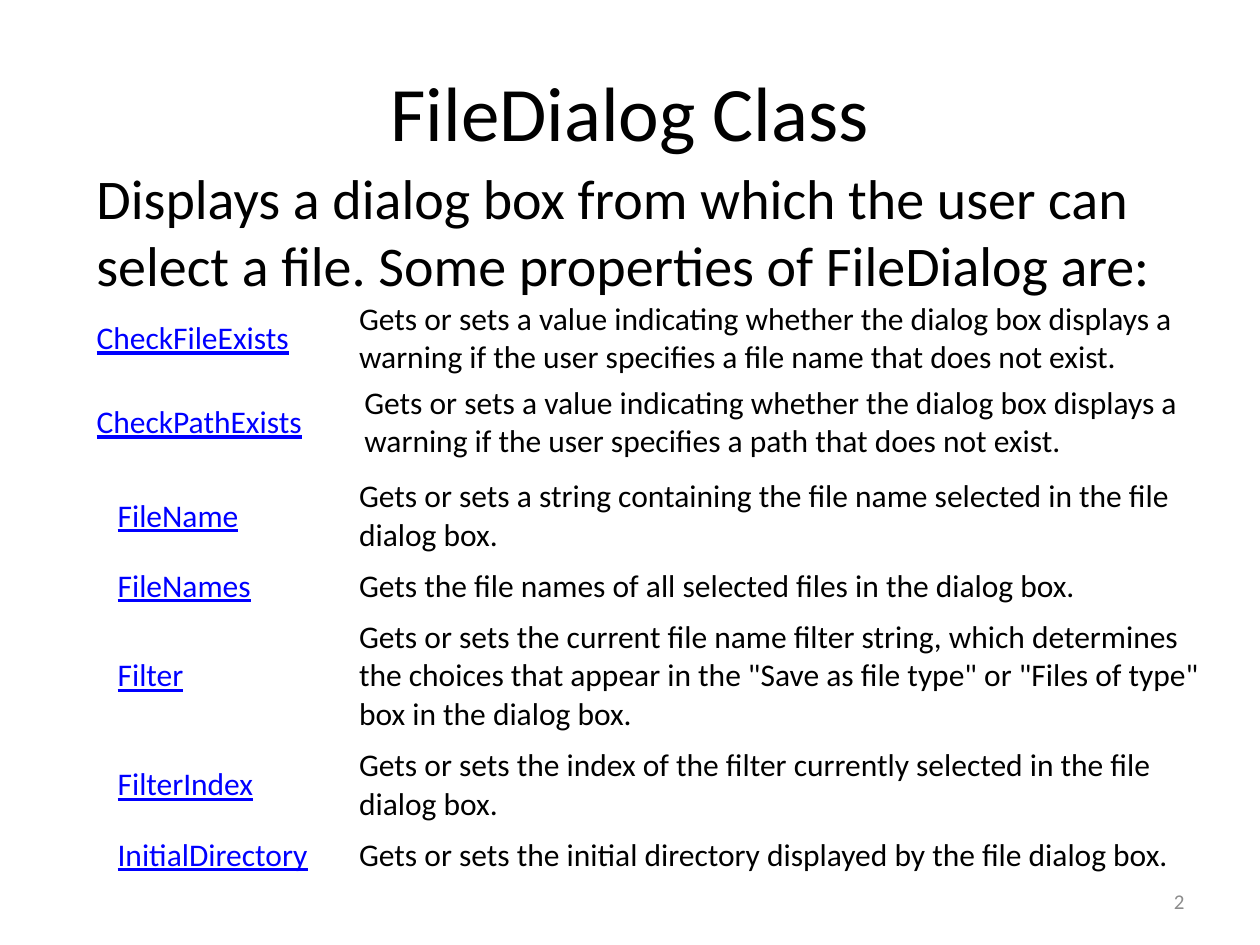
from dataclasses import dataclass

from pptx import Presentation, util as u
from pptx.dml.color import RGBColor
from pptx.enum import text as t

COLORS = {"ink": "000000", "link": "0000FF", "page": "FFFFFF", "mute": "8C8C8C"}
FONT = "Calibri"
COLS, ROWS = 120, 90  # slide grid, twelve steps to the inch


@dataclass
class Item:
    name: str
    desc: str
    lines: int = 2


@dataclass
class Block:
    left: float
    top: float
    cols: tuple[float, float]
    items: list[Item]


BLOCKS = [
    Block(8, 36, (25.5, 84.5), [
        Item("CheckPathExists", "Gets or sets a value indicating whether the dialog box "
             "displays a warning if the user specifies a path that does not exist."),
    ]),
    Block(8, 28, (25, 83), [
        Item("CheckFileExists", "Gets or sets a value indicating whether the dialog box "
             "displays a warning if the user specifies a file name that does not exist."),
    ]),
    Block(10, 44.9, (23, 85), [
        Item("FileName", "Gets or sets a string containing the file name selected "
             "in the file dialog box."),
        Item("FileNames", "Gets the file names of all selected files in the dialog box.", 1),
        Item("Filter", "Gets or sets the current file name filter string, which determines "
             'the choices that appear in the "Save as file type" or "Files of type" '
             "box in the dialog box.", 3),
        Item("FilterIndex", "Gets or sets the index of the filter currently selected "
             "in the file dialog box."),
        Item("InitialDirectory", "Gets or sets the initial directory displayed "
             "by the file dialog box.", 1),
    ]),
]


def grid(n: float) -> int:
    """Turn grid steps into a length."""
    return u.Inches(n / 12)


def color(name: str) -> RGBColor:
    return RGBColor.from_string(COLORS[name])


def write(frame, words: str, size: float, ink: str = "ink",
          align=t.PP_ALIGN.LEFT, line: bool = False) -> None:
    para = frame.paragraphs[0]
    para.alignment = align
    run = para.add_run()
    run.text = words
    font = run.font
    font.name, font.size, font.underline = FONT, u.Pt(size), line
    font.color.rgb = color(ink)


def add_text(slide, box: tuple, anchor, words: str, size: float, **style) -> None:
    frame = slide.shapes.add_textbox(*map(grid, box)).text_frame
    frame.word_wrap = True
    frame.vertical_anchor = anchor
    write(frame, words, size, **style)


def add_block(slide, block: Block) -> None:
    highs = [u.Pt(7.2 + 22 * item.lines) for item in block.items]
    table = slide.shapes.add_table(
        len(block.items), 2, grid(block.left), grid(block.top),
        grid(sum(block.cols)), sum(highs)).table
    table.first_row = table.horz_banding = False
    for col, width in zip(table.columns, block.cols):
        col.width = grid(width)
    for row, high, item in zip(table.rows, highs, block.items):
        row.height = high
        name, desc = row.cells
        for cell in (name, desc):
            cell.fill.solid()
            cell.fill.fore_color.rgb = color("page")
            cell.vertical_anchor = t.MSO_ANCHOR.MIDDLE
        write(name.text_frame, item.name, 18, "link", line=True)
        write(desc.text_frame, item.desc, 18)


def main() -> None:
    deck = Presentation()
    deck.slide_width, deck.slide_height = grid(COLS), grid(ROWS)
    slide = deck.slides.add_slide(deck.slide_layouts[5])

    title = slide.shapes.title
    title.left, title.top, title.width, title.height = map(grid, (6, 3, 108, 15))
    title.text_frame.vertical_anchor = t.MSO_ANCHOR.MIDDLE
    write(title.text_frame, "FileDialog Class", 44, align=t.PP_ALIGN.CENTER)

    for block in BLOCKS:
        add_block(slide, block)
    # The intro comes after the tables so their fill leaves its last line whole.
    add_text(slide, (8, 15, 108, 60.4), t.MSO_ANCHOR.TOP,
             "Displays a dialog box from which the user can select a file. "
             "Some properties of FileDialog are:", 32)
    add_text(slide, (86, 83.4, 28, 4.8), t.MSO_ANCHOR.MIDDLE, "2", 12,
             ink="mute", align=t.PP_ALIGN.RIGHT)

    deck.save("out.pptx")


if __name__ == "__main__":
    main()
